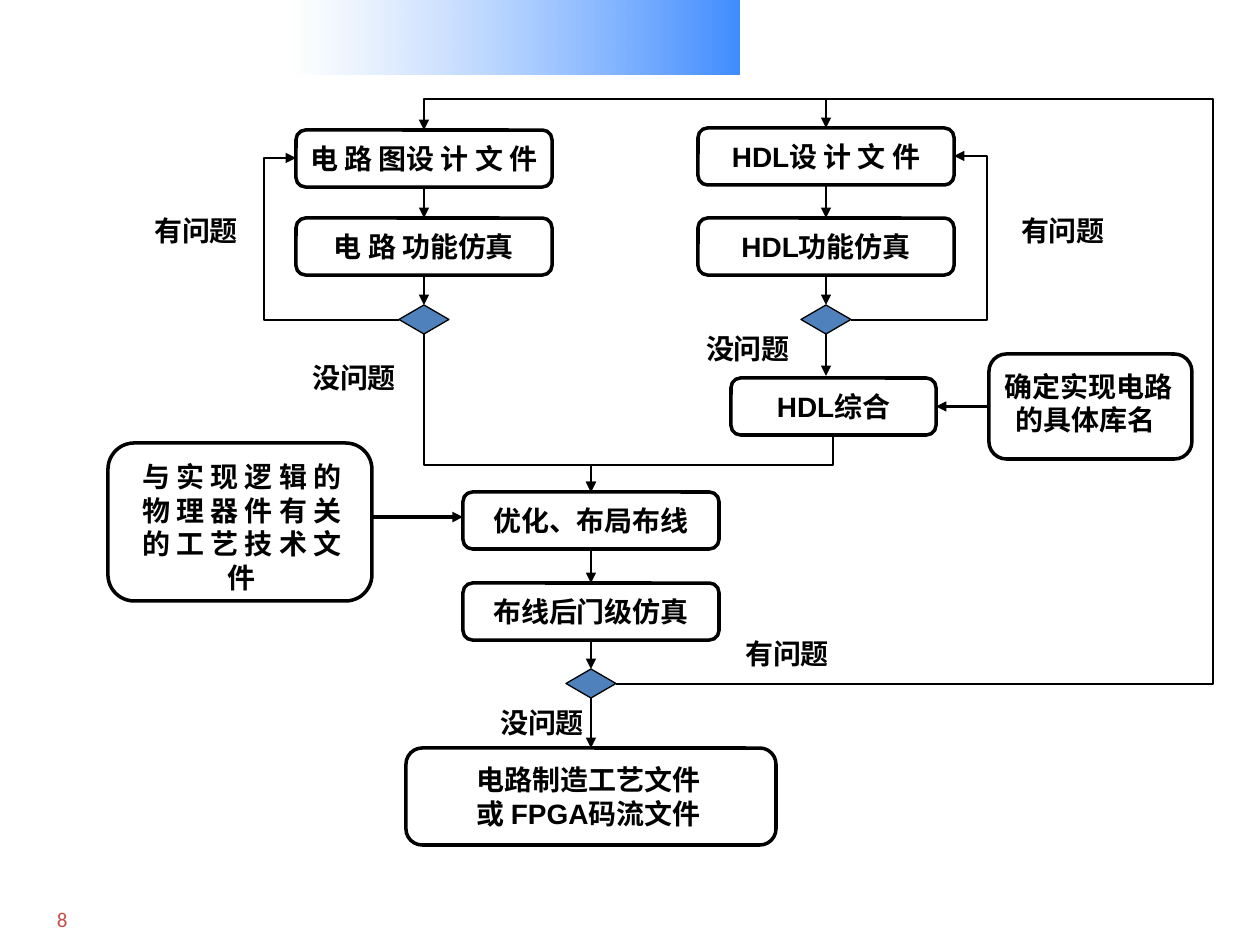
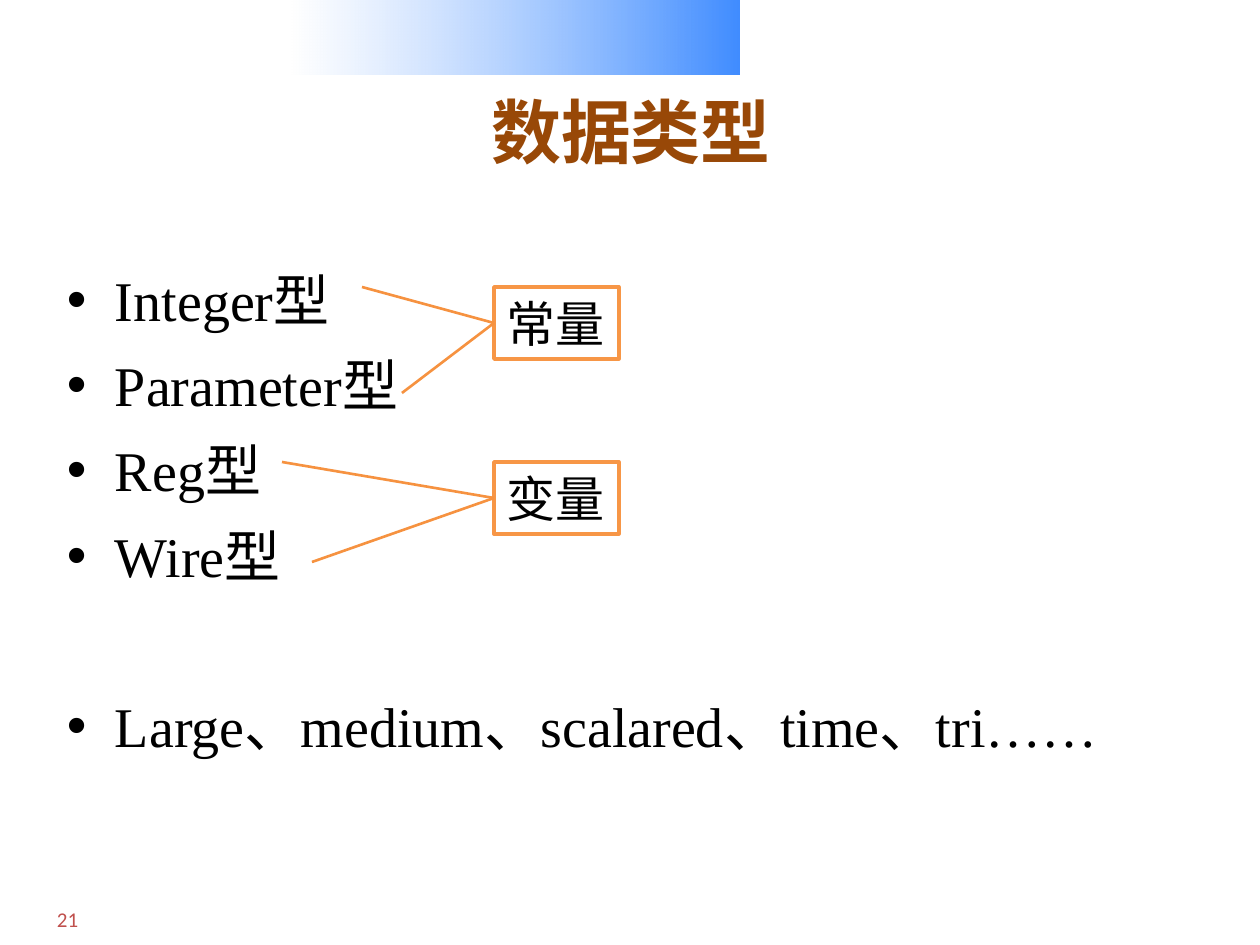
"""Build two slides on hardware design: a design flow chart and the data types."""
from lxml import etree
from pptx import Presentation
from pptx.dml.color import RGBColor
from pptx.enum.shapes import MSO_CONNECTOR, MSO_SHAPE
from pptx.enum.text import MSO_ANCHOR, PP_ALIGN
from pptx.oxml.ns import qn
from pptx.util import Pt

LINE = MSO_CONNECTOR.STRAIGHT
RECT, ROUND, DIAMOND = MSO_SHAPE.RECTANGLE, MSO_SHAPE.ROUNDED_RECTANGLE, MSO_SHAPE.DIAMOND
TOP, MIDDLE = MSO_ANCHOR.TOP, MSO_ANCHOR.MIDDLE
LEFT, CENTER = PP_ALIGN.LEFT, PP_ALIGN.CENTER
UP, WEST, DOWN, EAST = range(4)

SCALE = 914400 / 126
BLACK, WHITE, BLUE, SKY = "000000", "FFFFFF", "4F81BD", "0066FF"
RED, BROWN, ORANGE, AMBER = "C0504D", "984807", "F79646", "F69240"
SANS, SERIF, PLAIN = "Arial", "Times New Roman", "Calibri"

STEPS = {
    "draw": ("电 路 图设 计 文 件", 296, 130, 256),
    "code": ("HDL设 计 文 件", 698, 128, 256),
    "draw sim": ("电 路 功能仿真", 296, 218, 256),
    "code sim": ("HDL功能仿真", 698, 218, 256),
    "synth": ("HDL综合", 731, 378, 205),
    "place": ("优化、布局布线", 463, 492, 256),
    "gate sim": ("布线后门级仿真", 463, 583, 256),
}
STEP_H = 57
NOTES = {
    "lib": (["确定实现电路的具体库名 "], (989, 354, 203, 105), (8, 10, 12)),
    "tech": (["与 实 现 逻 辑 的 物 理 器 件 有 关 的 工 艺 技 术 文 件"],
             (108, 443, 264, 158), (20, 9, 16)),
    "out": (["电路制造工艺文件", "或 FPGA码流文件"], (406, 748, 370, 97), (1, 10, 6)),
}
TESTS = {"draw ok": (399, 305), "code ok": (801, 305), "gate ok": (566, 669)}
BAD, GOOD = "有问题", "没问题"
LABELS = [(BAD, 137, 207), (GOOD, 295, 354), (GOOD, 689, 325),
          (BAD, 1004, 207), (GOOD, 483, 699), (BAD, 728, 630)]
LINKS = [
    ("draw", DOWN, "draw sim", UP), ("draw sim", DOWN, "draw ok", UP),
    ("code", DOWN, "code sim", UP), ("code sim", DOWN, "code ok", UP),
    ("place", DOWN, "gate sim", UP), ("gate sim", DOWN, "gate ok", UP),
    ("gate ok", DOWN, "out", UP), ("lib", WEST, "synth", EAST),
]
ARROWS = [((372, 517), (463, 517), 2), ((826, 334), (826, 376), 1.5)]
ROUTES = [
    [(399, 320), (264, 320), (264, 158), (296, 158)],
    [(851, 320), (987, 320), (987, 156), (954, 156)],
    [(424, 334), (424, 465), (591, 465), (591, 492)],
    [(833, 435), (833, 465), (591, 465), (591, 492)],
    [(616, 684), (1213, 684), (1213, 99), (826, 99), (826, 128)],
    [(826, 99), (424, 99), (424, 130)],
]

TITLE = "数据类型"
TYPES = [("Integer型", 0), ("Parameter型", 6.4), ("Reg型", 6.4), ("Wire型", 6.4),
         ("Large、medium、scalared、time、tri……", 55)]
TAGS = [("常量", 287, [(362, 287), (402, 393)]),
        ("变量", 462, [(282, 462), (312, 562)])]


def px(*vals):
    return [round(v * SCALE) for v in vals]


def rgb(code):
    return RGBColor.from_string(code)


def write(shape, lines, size, font, color, bold=False, align=CENTER,
          anchor=MIDDLE, pad=(13, 6, 13), wrap=True):
    frame = shape.text_frame
    frame.word_wrap = wrap
    frame.vertical_anchor = anchor
    frame.margin_left, frame.margin_top, frame.margin_right = px(*pad)
    frame.margin_bottom = frame.margin_top
    for i, line in enumerate(lines):
        para = frame.add_paragraph() if i else frame.paragraphs[0]
        para.alignment = align
        run = para.add_run()
        run.text = line
        run.font.size, run.font.bold, run.font.name = Pt(size), bold, font
        run.font.color.rgb = rgb(color)
    return frame


def block(slide, kind, area, fill, line=None, width=2):
    shape = slide.shapes.add_shape(kind, *px(*area))
    shape.shadow.inherit = False
    shape.fill.solid()
    shape.fill.fore_color.rgb = rgb(fill)
    if line:
        shape.line.color.rgb = rgb(line)
        shape.line.width = Pt(width)
    else:
        shape.line.fill.background()
    return shape


def stroke(shape, color, width, head=True):
    shape.line.color.rgb = rgb(color)
    shape.line.width = Pt(width)
    if head:
        tip = etree.SubElement(shape.line._get_or_add_ln(), qn("a:tailEnd"))
        tip.set("type", "triangle")


def wire(slide, start, end, color, width, head=True):
    line = slide.shapes.add_connector(LINE, *px(*start, *end))
    stroke(line, color, width, head)
    etree.SubElement(line._element.spPr, qn("a:effectLst"))
    return line


def route(slide, points):
    pen = slide.shapes.build_freeform(*points[0], scale=SCALE)
    pen.add_line_segments(points[1:], close=False)
    shape = pen.convert_to_shape()
    shape.shadow.inherit = False
    shape.fill.background()
    stroke(shape, BLACK, 1.5)


def base(deck, number):
    slide = deck.slides.add_slide(deck.slide_layouts[6])
    band = block(slide, RECT, (292, 0, 448, 75), WHITE)
    band.fill.gradient()
    band.fill.gradient_angle = 0
    for stop, color in zip(band.fill.gradient_stops, (WHITE, SKY)):
        stop.color.rgb = rgb(color)
    tones = band._element.spPr.findall(".//" + qn("a:gs") + "/" + qn("a:srgbClr"))
    for tone, alpha in zip(tones, (48, 75)):
        etree.SubElement(tone, qn("a:alpha")).set("val", str(alpha * 1000))
    foot = slide.shapes.add_textbox(*px(44, 901, 59, 38))
    write(foot, [str(number)], 12, PLAIN, RED, align=LEFT, anchor=TOP)
    return slide


def flow(deck):
    slide = base(deck, 8)
    nodes = {}
    for name, (text, x, y, w) in STEPS.items():
        nodes[name] = block(slide, ROUND, (x, y, w, STEP_H), WHITE, BLACK)
        write(nodes[name], [text], 16, SANS, BLACK, True, pad=(1, 1, 1))
    for name, (lines, area, pad) in NOTES.items():
        nodes[name] = block(slide, ROUND, area, WHITE, BLACK)
        write(nodes[name], lines, 16, SANS, BLACK, True, anchor=TOP, pad=pad)
    for text, x, y in LABELS:
        label = block(slide, RECT, (x, y, 118, 46), WHITE)
        write(label, [text], 16, SANS, BLACK, True)
    for name, (x, y) in TESTS.items():
        nodes[name] = block(slide, DIAMOND, (x, y, 50, 29), BLUE, BLACK, 0.75)
    for first, out, last, into in LINKS:
        line = wire(slide, (0, 0), (0, 0), BLACK, 1.5)
        line.begin_connect(nodes[first], out)
        line.end_connect(nodes[last], into)
    for start, end, width in ARROWS:
        wire(slide, start, end, BLACK, width)
    for points in ROUTES:
        route(slide, points)


def types(deck):
    slide = base(deck, 21)
    head = slide.shapes.add_textbox(*px(64, 76, 1134, 110))
    write(head, [TITLE], 40, SERIF, BROWN, True)
    body = slide.shapes.add_textbox(*px(54, 253, 1134, 580))
    frame = write(body, [text for text, gap in TYPES], 32, SERIF, BLACK,
                  align=LEFT, anchor=TOP)
    indent = px(48)[0]
    for para, (text, gap) in zip(frame.paragraphs, TYPES):
        para.line_spacing = 1.1
        para.space_before = Pt(gap)
        props = para._p.get_or_add_pPr()
        props.set("marL", str(indent))
        props.set("indent", str(-indent))
        etree.SubElement(props, qn("a:buFont")).set("typeface", SANS)
        etree.SubElement(props, qn("a:buChar")).set("char", "•")
    for text, y, starts in TAGS:
        tag = block(slide, RECT, (494, y, 125, 72), WHITE, ORANGE)
        write(tag, [text], 28, SANS, BLACK, align=LEFT, wrap=False)
        for start in starts:
            line = wire(slide, start, (494, y + 36), AMBER, 1.5, False)
            line.end_connect(tag, WEST)


def main():
    deck = Presentation()
    deck.slide_width, deck.slide_height = px(1260, 945)
    flow(deck)
    types(deck)
    deck.save("out.pptx")


if __name__ == "__main__":
    main()
